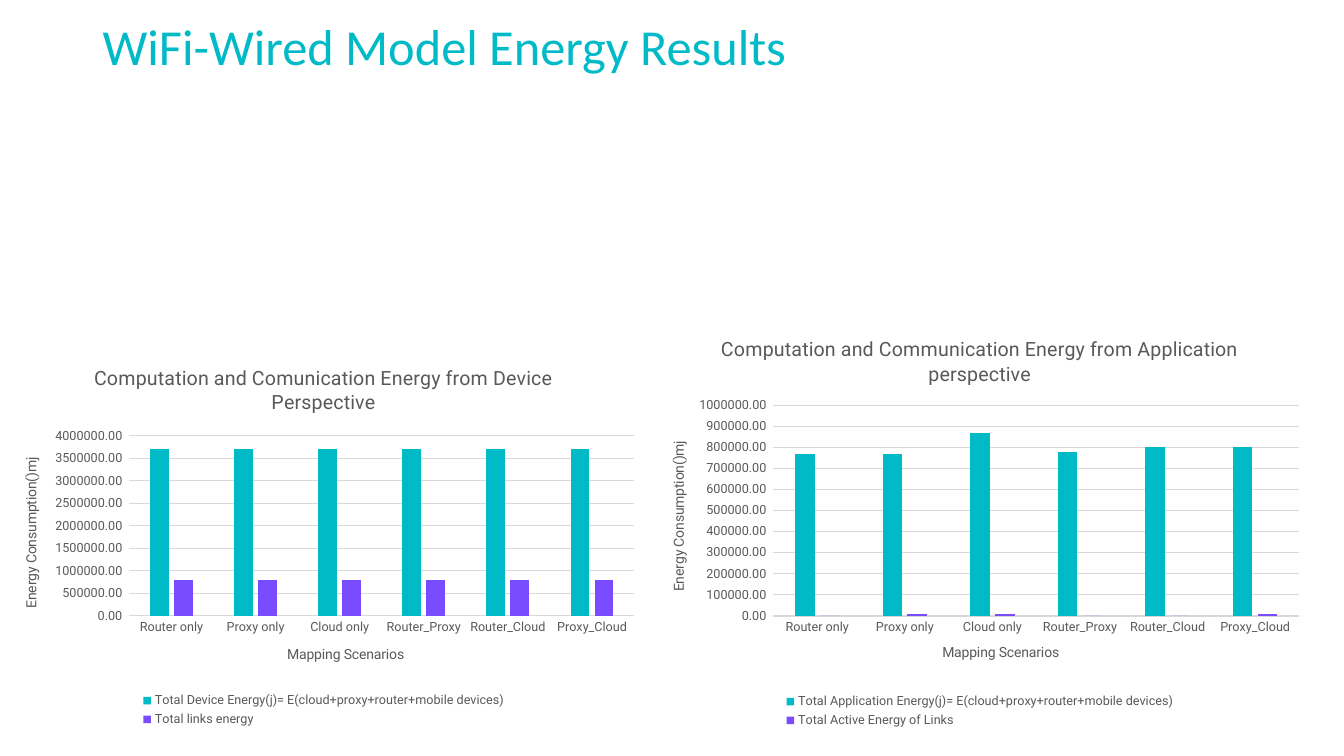
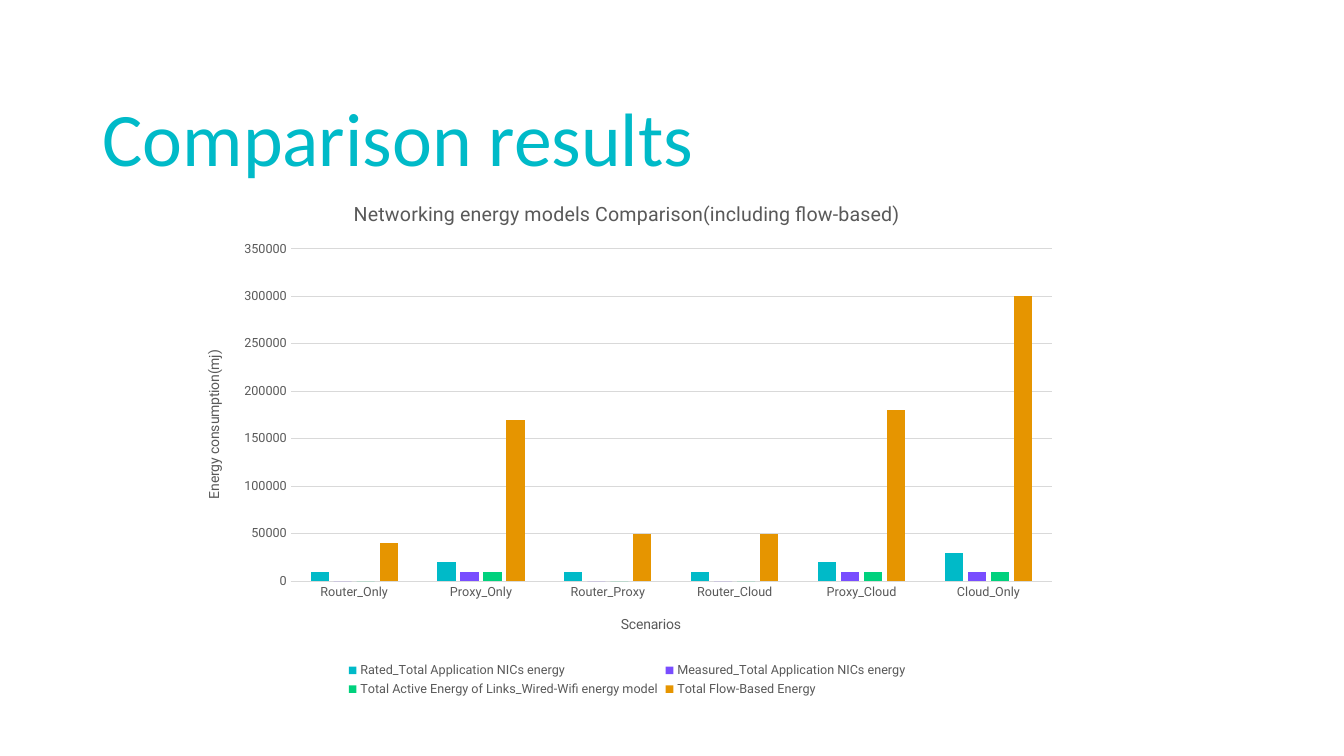
from dataclasses import dataclass
from itertools import starmap

from pptx import Presentation
from pptx.chart.data import CategoryChartData
from pptx.dml.color import RGBColor
from pptx.enum.chart import XL_CHART_TYPE as ChartType
from pptx.enum.chart import XL_LEGEND_POSITION as LegendPos
from pptx.enum.chart import XL_TICK_MARK as Tick
from pptx.enum.text import MSO_ANCHOR as Anchor
from pptx.oxml import parse_xml
from pptx.oxml.ns import nsdecls, qn
from pptx.util import Pt


@dataclass(frozen=True)
class Theme:
    accent: str = "00BAC8"
    series: tuple = ("00BAC8", "794DFF", "00D17D", "E69500")
    text: str = "595959"
    grid: str = "D9D9D9"
    title_font: str = "Calibri"
    chart_font: str = "Roboto"
    chart_title: int = 14
    axis_title: int = 10
    label: int = 9
    hairline: float = 0.75


@dataclass(frozen=True)
class EnergyChart:
    title: str
    x_title: str
    y_title: str
    cats: tuple
    series: dict
    plot: tuple  # left, top, width, height as shares of the chart
    x_title_at: tuple
    y_title_at: tuple
    number_format: str = "General"


THEME = Theme()
TITLE_LEFT, TITLE_WIDTH = 66.24, 828
TWO_DECIMALS = r"0.00_ ;\-0.00\ "
MAPPINGS = ("Router only", "Proxy only", "Cloud only",
            "Router_Proxy", "Router_Cloud", "Proxy_Cloud")

DEVICE = EnergyChart(
    "Computation and Comunication Energy from Device Perspective",
    "Mapping Scenarios", "Energy Consumption()mj", MAPPINGS,
    {
        "Total Device Energy(j)= E(cloud+proxy+router+mobile devices)":
            (3700000,) * 6,
        "Total links energy": (800000,) * 6,
    },
    (0.2, 0.23, 0.78, 0.47), (0.44, 0.77), (0.03, 0.28), TWO_DECIMALS)

APPLICATION = EnergyChart(
    "Computation and Communication Energy from Application perspective",
    "Mapping Scenarios", "Energy Consumption()mj", MAPPINGS,
    {
        "Total Application Energy(j)= E(cloud+proxy+router+mobile devices)":
            (770000, 770000, 870000, 780000, 800000, 800000),
        "Total Active Energy of Links": (0, 10000, 10000, 0, 0, 10000),
    },
    (0.19, 0.21, 0.79, 0.51), (0.44, 0.78), (0.03, 0.29), TWO_DECIMALS)

COMPARISON = EnergyChart(
    "Networking energy models Comparison(including flow-based)",
    "Scenarios", "Energy consumption(mj)",
    ("Router_Only", "Proxy_Only", "Router_Proxy",
     "Router_Cloud", "Proxy_Cloud", "Cloud_Only"),
    {
        "Rated_Total Application NICs energy":
            (10000, 20000, 10000, 10000, 20000, 30000),
        "Measured_Total Application NICs energy":
            (0, 10000, 0, 0, 10000, 10000),
        "Total Active Energy of Links_Wired-Wifi energy model":
            (0, 10000, 0, 0, 10000, 10000),
        "Total Flow-Based Energy":
            (40000, 170000, 50000, 50000, 180000, 300000),
    },
    (0.12, 0.13, 0.86, 0.64), (0.49, 0.83), (0.02, 0.32))


def style_font(font, name, size, color):
    font.name, font.size, font.bold = name, Pt(size), False
    font.color.rgb = RGBColor.from_string(color)


def style_line(line):
    line.color.rgb = RGBColor.from_string(THEME.grid)
    line.width = Pt(THEME.hairline)


def set_layout(parent, shares, inner=False):
    """Place a chart part by its left, top, width and height shares."""
    old = parent.find(qn("c:layout"))
    if old is not None:
        parent.remove(old)
    target = '<c:layoutTarget val="inner"/>' if inner else ""
    modes = "".join(f'<c:{k}Mode val="edge"/>' for k in "xy")
    values = "".join(f'<c:{k} val="{v}"/>' for k, v in zip("xywh", shares))
    layout = parse_xml(f'<c:layout {nsdecls("c")}><c:manualLayout>'
                       f'{target}{modes}{values}</c:manualLayout></c:layout>')
    parent.insert(0 if parent.find(qn("c:tx")) is None else 1, layout)


def set_chart_text(tf, text, size):
    tf.text = text
    style_font(tf.paragraphs[0].runs[0].font, THEME.chart_font, size, THEME.text)


def style_axis(axis, title, title_at):
    axis.major_tick_mark = axis.minor_tick_mark = Tick.NONE
    style_font(axis.tick_labels.font, THEME.chart_font, THEME.label, THEME.text)
    set_chart_text(axis.axis_title.text_frame, title, THEME.axis_title)
    set_layout(axis.axis_title.element, title_at)


def add_title(s, box, text, size):
    shape = s.shapes.add_textbox(*map(Pt, box))
    tf = shape.text_frame
    tf.word_wrap = True
    tf.vertical_anchor = Anchor.BOTTOM
    tf.text = text
    p = tf.paragraphs[0]
    p.line_spacing = 0.9
    style_font(p.runs[0].font, THEME.title_font, size, THEME.accent)


def add_energy_chart(s, box, energy):
    data = CategoryChartData(number_format=energy.number_format)
    data.categories = energy.cats
    list(starmap(data.add_series, energy.series.items()))
    chart = s.shapes.add_chart(
        ChartType.COLUMN_CLUSTERED, *map(Pt, box), data).chart
    chart.font.name, chart.font.size = THEME.chart_font, Pt(THEME.axis_title)
    chart.has_title = True
    set_chart_text(chart.chart_title.text_frame, energy.title,
                   THEME.chart_title)

    chart.has_legend = True
    chart.legend.position = LegendPos.BOTTOM
    chart.legend.include_in_layout = False
    style_font(chart.legend.font, THEME.chart_font, THEME.label, THEME.text)

    x_axis, y_axis = chart.category_axis, chart.value_axis
    style_axis(x_axis, energy.x_title, energy.x_title_at)
    style_axis(y_axis, energy.y_title, energy.y_title_at)
    y_axis.axis_title.element.find(".//" + qn("a:bodyPr")).set("rot", "-5400000")
    style_line(x_axis.format.line)
    style_line(y_axis.major_gridlines.format.line)
    y_axis.format.line.fill.background()
    y_axis.tick_labels.number_format = energy.number_format
    y_axis.tick_labels.number_format_is_linked = False

    plot = chart.plots[0]
    plot.gap_width, plot.overlap, plot.vary_by_categories = 219, -27, False
    for series, color in zip(plot.series, THEME.series):
        series.format.fill.solid()
        series.format.fill.fore_color.rgb = RGBColor.from_string(color)
    set_layout(chart.element.find(".//" + qn("c:plotArea")),
               energy.plot, inner=True)


def add_chart_slide(prs, title, size, title_top, title_height, charts):
    s = prs.slides.add_slide(prs.slide_layouts[6])
    add_title(s, (TITLE_LEFT, title_top, TITLE_WIDTH, title_height), title, size)
    for box, energy in charts:
        add_energy_chart(s, box, energy)


def main():
    prs = Presentation()
    prs.slide_width, prs.slide_height = Pt(960), Pt(540)
    add_chart_slide(prs, "WiFi-Wired Model Energy Results", 36, 0, 58.3, [
        ((0, 248.4, 462.2, 273.6), DEVICE),
        ((462.2, 227.5, 475.2, 295.2), APPLICATION),
    ])
    add_chart_slide(prs, "Comparison results", 54, 28.8, 105, [
        ((131.8, 129.6, 632.2, 370.8), COMPARISON),
    ])
    prs.save("out.pptx")


if __name__ == "__main__":
    main()
